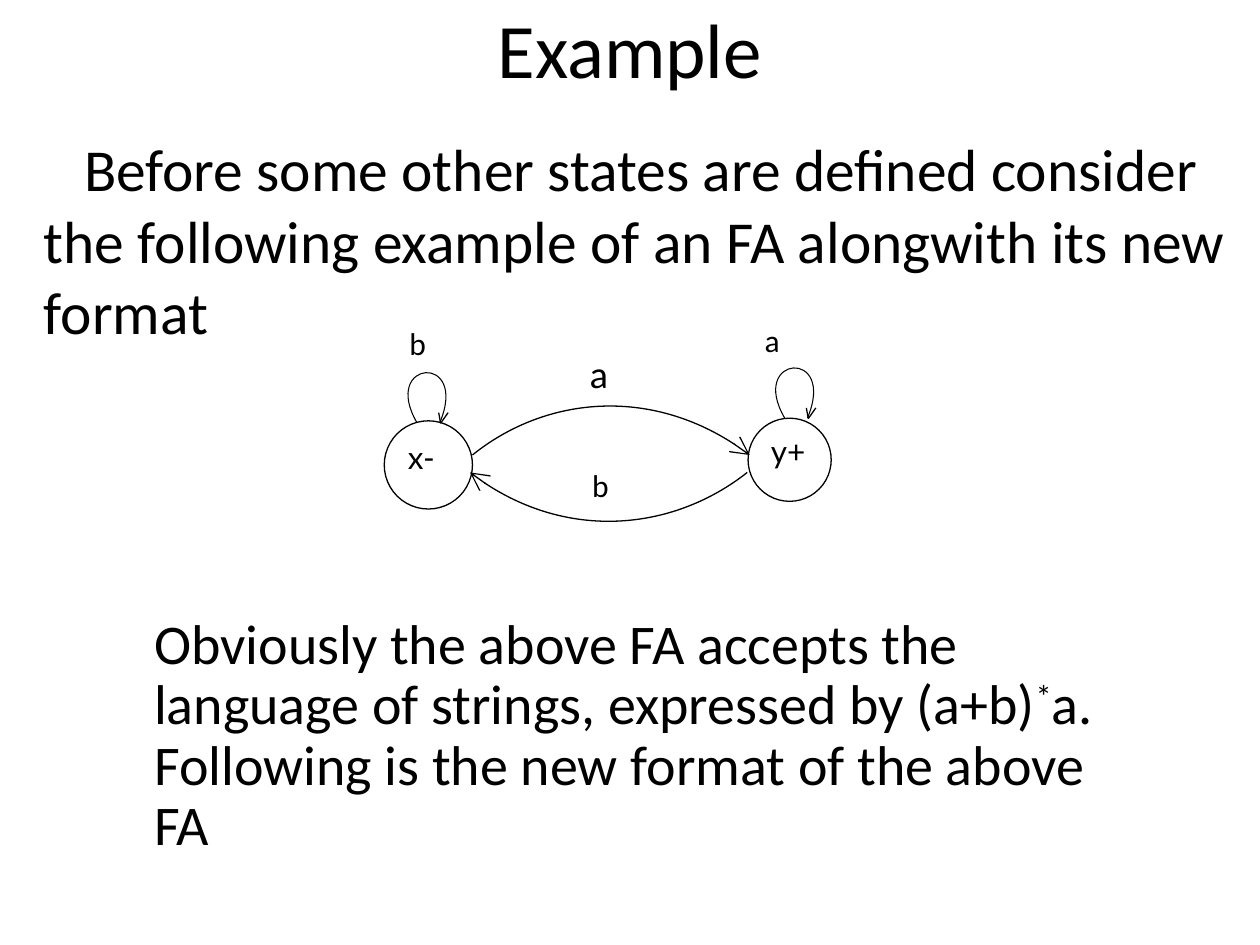
from lxml.etree import SubElement
from pptx import Presentation
from pptx.dml.color import RGBColor
from pptx.enum.shapes import MSO_CONNECTOR as Connector, MSO_SHAPE as Shape
from pptx.enum.text import MSO_ANCHOR as Anchor, PP_ALIGN as Align
from pptx.oxml.ns import qn
from pptx.util import Pt

COLOURS = {"ink": "000000", "paper": "FFFFFF"}


class Sketch:
    """Holds the style and the slide being drawn; all lengths are in points."""
    font = "Calibri"
    label_size = 18
    line_width = 0.75

    def __init__(self, slide):
        self.shapes = slide.shapes

    def colour(self, name):
        return RGBColor.from_string(COLOURS[name])

    def outline(self, item, width=None):
        item.line.color.rgb = self.colour("ink")
        item.line.width = Pt(width or self.line_width)

    def text(self, spans, left, top, width, height, size=None, font=None,
             align=Align.LEFT, anchor=Anchor.TOP, spacing=None, indent=0):
        """Add one paragraph; spans are (words, baseline percent) pairs."""
        box = self.shapes.add_textbox(Pt(left), Pt(top), Pt(width), Pt(height))
        frame = box.text_frame
        frame.word_wrap = True
        frame.vertical_anchor = anchor
        para = frame.paragraphs[0]
        para.alignment = align
        if spacing:
            para.line_spacing = spacing
        if indent:
            para._p.get_or_add_pPr().set("indent", str(Pt(indent)))
        for words, baseline in spans:
            span = para.add_run()
            span.text = words
            span.font.name = font or self.font
            span.font.size = Pt(size or self.label_size)
            span.font.color.rgb = self.colour("ink")
            if baseline:
                span._r.get_or_add_rPr().set("baseline", str(baseline * 1000))

    def label(self, words, left, top, size=None, font=None):
        self.text([(words, 0)], left, top, 60, 36, size, font)

    def state(self, left, top, diameter):
        circle = self.shapes.add_shape(
            Shape.OVAL, Pt(left), Pt(top), Pt(diameter), Pt(diameter))
        circle.shadow.inherit = False
        circle.fill.solid()
        circle.fill.fore_color.rgb = self.colour("paper")
        self.outline(circle)

    def curve(self, points, width=None, arrow=False):
        """Draw a cubic curve from its start, two control points and end."""
        start, *rest = [(Pt(x), Pt(y)) for x, y in points]
        builder = self.shapes.build_freeform(*start)
        builder.add_line_segments(rest, close=False)
        curve = builder.convert_to_shape()
        curve.shadow.inherit = False
        curve.fill.background()
        self.outline(curve, width)
        outline_path = next(curve._element.iter(qn("a:path")))
        segments = outline_path.findall(qn("a:lnTo"))
        bezier = SubElement(outline_path, qn("a:cubicBezTo"))
        for segment in segments:
            bezier.append(segment[0])
            outline_path.remove(segment)
        if arrow:
            SubElement(curve.line._get_or_add_ln(), qn("a:tailEnd"),
                       type="arrow", w="lg", len="lg")

    def line(self, start, end):
        line = self.shapes.add_connector(
            Connector.STRAIGHT, *[Pt(value) for value in (*start, *end)])
        SubElement(line._element.spPr, qn("a:effectLst"))
        self.outline(line)

    def loop(self, x, y):
        """Draw a self-transition that leaves the state at x, y."""
        tip = (x + 13.5, y + 0.3)
        self.curve([(x, y), (x - 21, y - 36), (x + 30, y - 40.3),
                    (x + 13, y)], width=0.6)
        for barb in ((x + 12.4, y - 5.8), (x + 17.8, y - 5.8)):
            self.line(barb, tip)


def main():
    deck = Presentation()
    deck.slide_width, deck.slide_height = Pt(720), Pt(540)
    page = Sketch(deck.slides.add_slide(deck.slide_layouts[6]))

    page.text([("Example", 0)], 54, -18, 612, 90, size=44,
              align=Align.CENTER, anchor=Anchor.MIDDLE)
    page.text([("Before some other states are defined consider the following "
                "example of an FA alongwith its new format", 0)],
              18, 72, 702, 130, size=34, indent=23)
    page.text([("Obviously the above FA accepts the language of strings, "
                "expressed by (a+b)", 0), ("*", 30),
               ("a. Following is the new format of the above FA", 0)],
              81, 348.5, 585, 155, size=32, spacing=0.9)

    page.state(219.6, 240.5, 50.4)
    page.state(427.5, 239, 47.5)
    page.curve([(270, 260), (310.3, 227.5), (375.8, 219.6), (428.4, 260)],
               arrow=True)
    page.curve([(427, 270), (386, 302.4), (320.4, 310.3), (268.6, 270)],
               arrow=True)
    page.loop(238.3, 241.6)
    page.loop(448.4, 238.9)

    page.label("x-", 226, 247, font="Lato")
    page.label("y+", 433.4, 243.4, font="Lato")
    page.label("b", 226.8, 181.4)
    page.label("a", 429.8, 180)
    page.label("a", 329.8, 196.6, size=22)
    page.label("b", 331.2, 262.8)

    deck.save("out.pptx")


if __name__ == "__main__":
    main()
